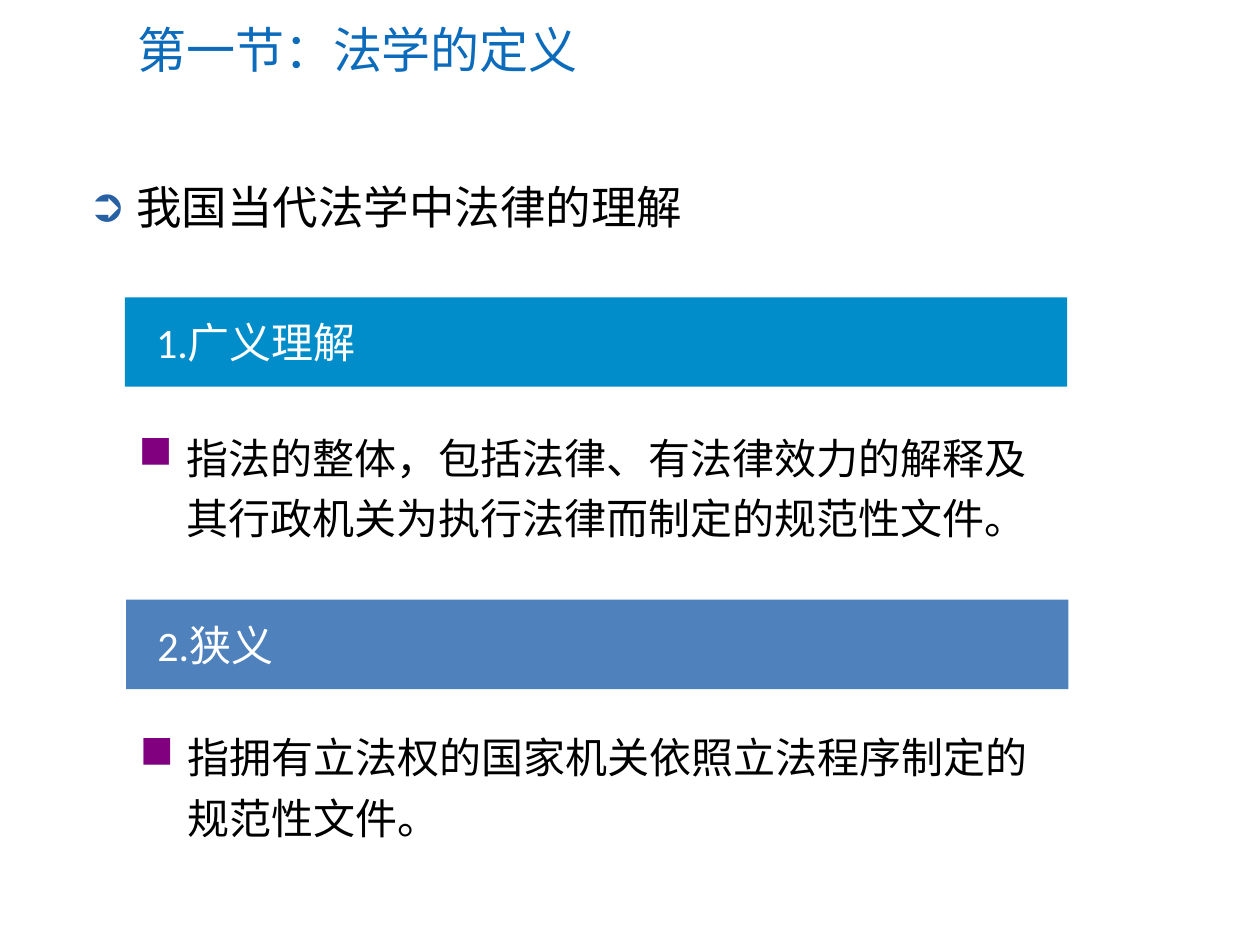
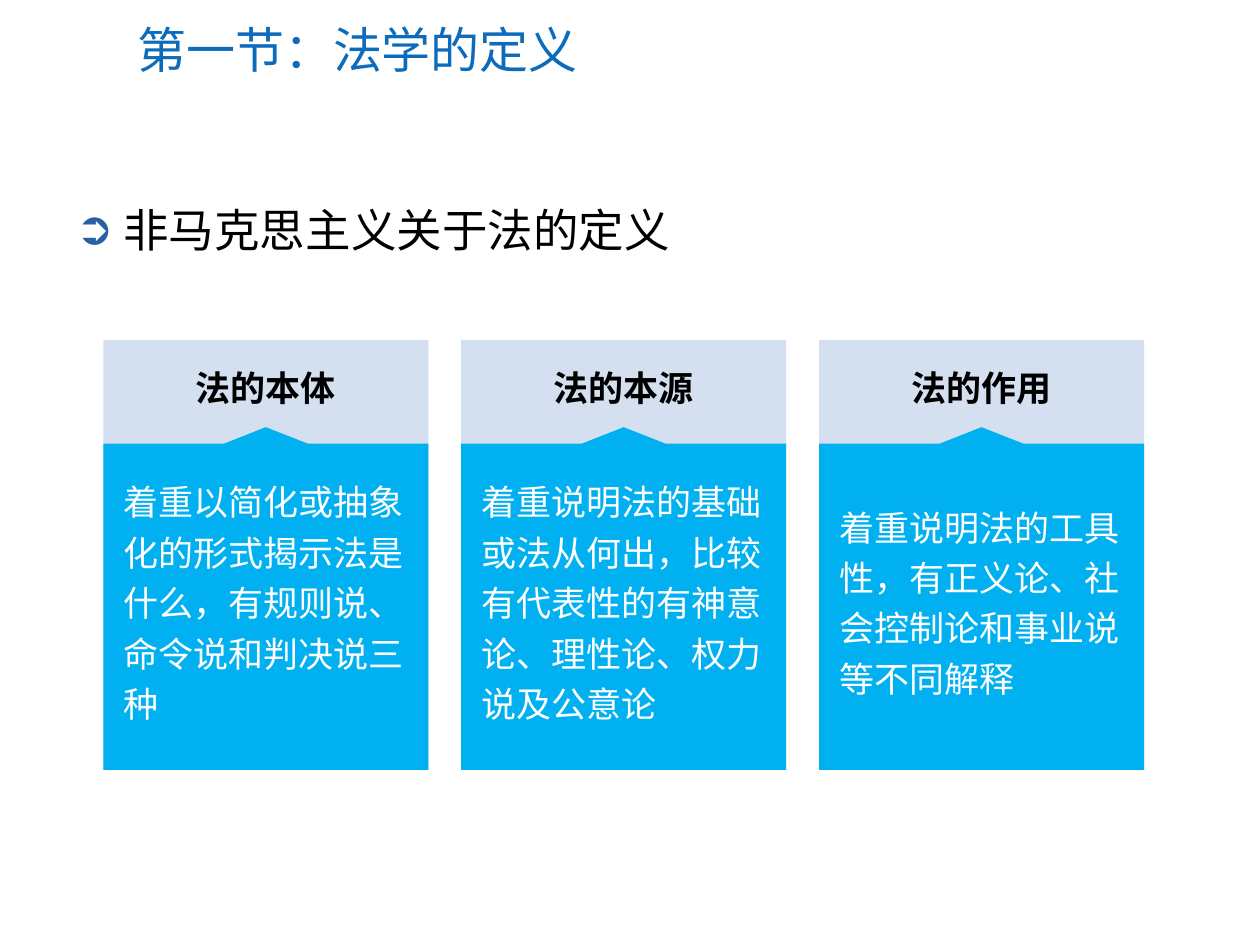
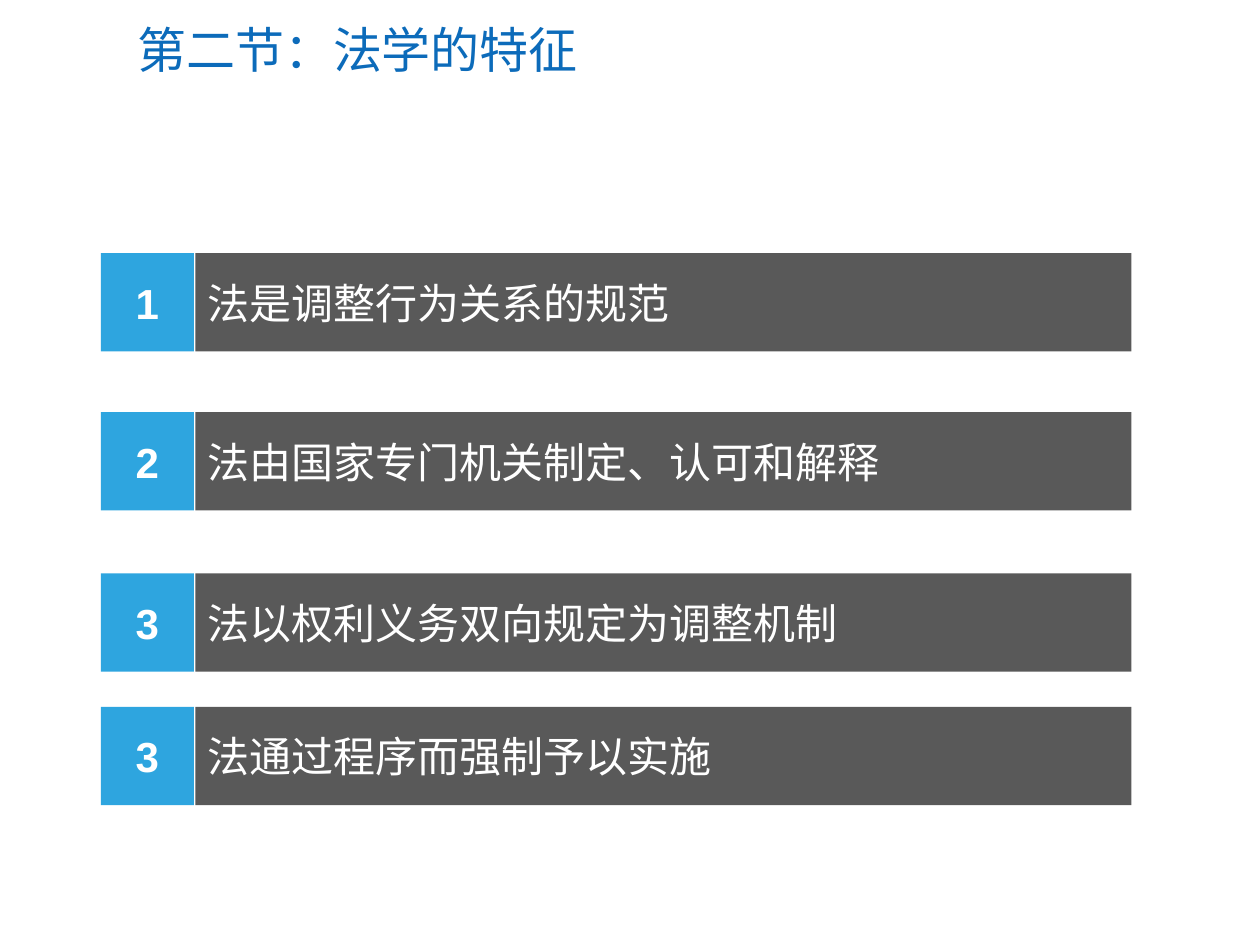
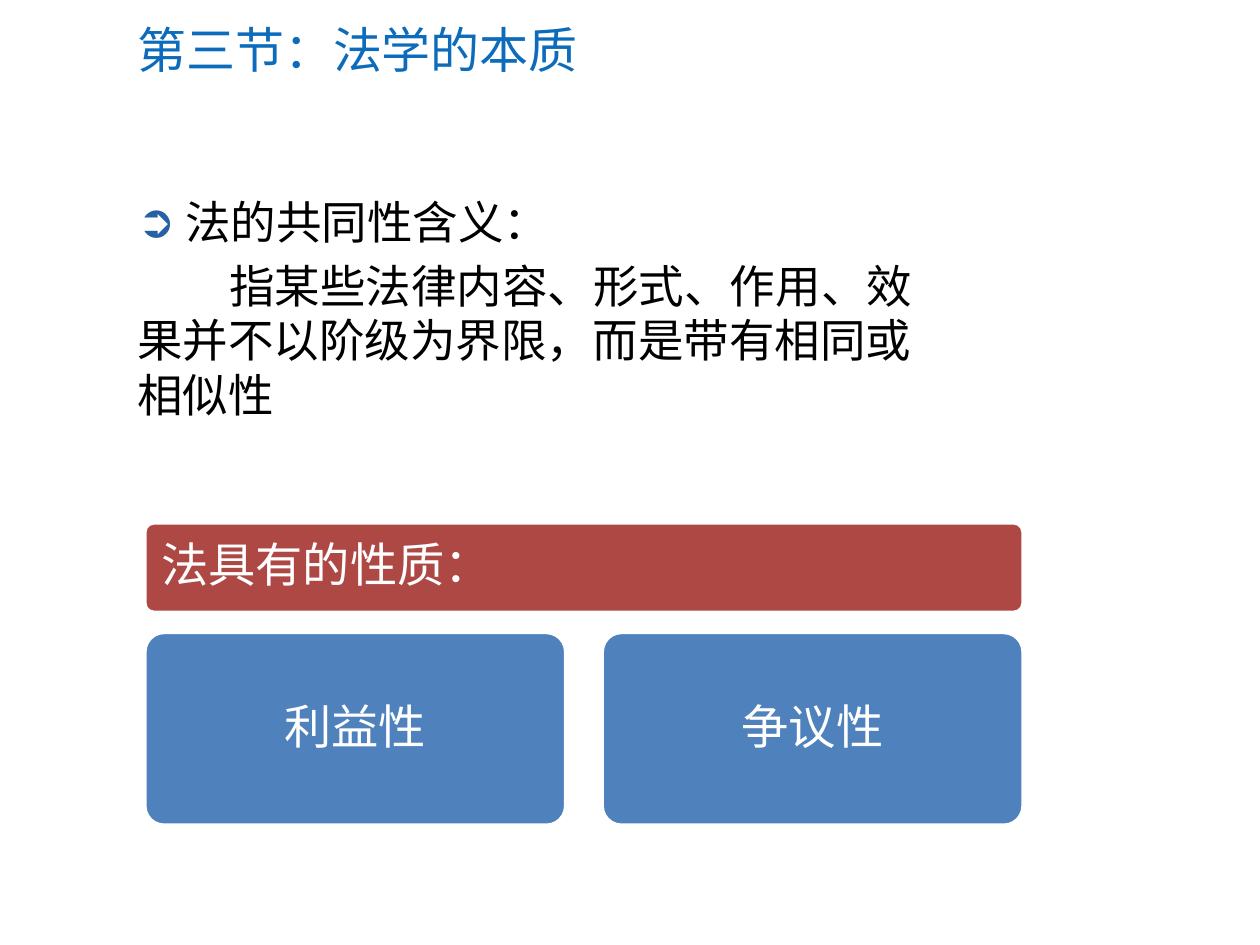
import pptx
import pptx.dml.color
import pptx.enum.lang
import pptx.enum.shapes
import pptx.enum.text
import pptx.oxml
import pptx.oxml.ns
import pptx.util

Inches = pptx.util.Inches
Pt = pptx.util.Pt
RGBColor = pptx.dml.color.RGBColor
Shapes = pptx.enum.shapes.MSO_SHAPE
Align = pptx.enum.text.PP_ALIGN
Anchor = pptx.enum.text.MSO_ANCHOR
AutoSize = pptx.enum.text.MSO_AUTO_SIZE
CHINESE = pptx.enum.lang.MSO_LANGUAGE_ID.SIMPLIFIED_CHINESE

# Shared colours and layout indexes
BLACK = RGBColor(0x00, 0x00, 0x00)
WHITE = RGBColor(0xFF, 0xFF, 0xFF)
TITLE_BLUE = RGBColor(0x0C, 0x6B, 0xBA)
ARROW_BLUE = RGBColor(0x28, 0x60, 0xA4)
PURPLE = RGBColor(0x80, 0x00, 0x80)
BAR_BLUE = RGBColor(0x00, 0x8D, 0xCA)
STEEL_BLUE = RGBColor(0x4F, 0x81, 0xBD)
PALE_BLUE = RGBColor(0x95, 0xB3, 0xD7)
SKY_BLUE = RGBColor(0x00, 0xB0, 0xF0)
NUMBER_BLUE = RGBColor(0x2E, 0xA5, 0xDF)
GREY = RGBColor(0x59, 0x59, 0x59)
RED = RGBColor(0xAE, 0x48, 0x45)
TITLE_AND_BODY, TITLE_ONLY = 1, 5


def write_text(shape, text, size=24, color=WHITE, font="Calibri", bold=False,
               align=Align.LEFT, anchor=Anchor.TOP, auto_size=AutoSize.NONE,
               line_spacing=1.0, space_before=0.2, margin=0, indent=0,
               bullet=None, bullet_color=None, bullet_size=100, insets=(0.1, 0.05)):
    """Write one paragraph, after any text that the shape already holds."""
    frame = shape.text_frame
    frame.word_wrap = True
    frame.auto_size = auto_size
    frame.vertical_anchor = anchor
    frame.margin_left = frame.margin_right = Inches(insets[0])
    frame.margin_top = frame.margin_bottom = Inches(insets[1])
    paragraph = frame.add_paragraph() if frame.text else frame.paragraphs[0]
    paragraph.alignment = align
    paragraph.line_spacing = line_spacing
    paragraph.space_before = Pt(space_before * size)
    run = paragraph.add_run()
    run.text = text
    run.font.size = Pt(size)
    run.font.name = font
    run.font.bold = bold
    run.font.color.rgb = color
    run.font.language_id = CHINESE

    # Indents and bullet
    properties = paragraph._p.get_or_add_pPr()
    properties.set("marL", str(Inches(margin)))
    properties.set("indent", str(Inches(indent)))
    parts = ["<a:buNone {}/>"]
    if bullet:
        parts = [f'<a:buClr {{}}><a:srgbClr val="{bullet_color}"/></a:buClr>',
                 f'<a:buSzPct {{}} val="{bullet_size * 1000}"/>',
                 f'<a:buChar {{}} char="{bullet}"/>']
    for part in parts:
        properties.append(pptx.oxml.parse_xml(part.format(pptx.oxml.ns.nsdecls("a"))))


def paint(shape, fill, line=None):
    """Give a shape a flat fill, and a 2 pt outline if a line colour is given."""
    shape.shadow.inherit = False
    shape.fill.solid()
    shape.fill.fore_color.rgb = fill
    if line is None:
        shape.line.fill.background()
    else:
        shape.line.color.rgb = line
        shape.line.width = Pt(2)


presentation = pptx.Presentation()
presentation.slide_width = Inches(10)
presentation.slide_height = Inches(7.5)

# Titles and lead bullets of all slides: title, lead, place of the body
outline = [
    ("第一节：法学的定义", "我国当代法学中法律的理解", (0.6, 1.37, 7.56, 0.66)),
    ("第一节：法学的定义", "非马克思主义关于法的定义", (0.5, 1.55, 9, 0.59)),
    ("第二节：法学的特征", None, None),
    ("第三节：法学的本质", "法的共同性含义：", (0.99, 1.49, 6.61, 2.12)),
]
for title, lead, place in outline:
    layout = presentation.slide_layouts[TITLE_AND_BODY if lead else TITLE_ONLY]
    slide = presentation.slides.add_slide(layout)
    heading = slide.shapes.title
    heading.left, heading.top = Inches(0.99), Inches(0.1)
    heading.width, heading.height = Inches(8.72), Inches(0.58)
    write_text(heading, title, size=28, color=TITLE_BLUE, anchor=Anchor.MIDDLE,
               space_before=0)
    if lead:
        body = slide.placeholders[1]
        body.left, body.top, body.width, body.height = map(Inches, place)
        write_text(body, lead, size=26, color=BLACK, margin=0.38, indent=-0.38,
                   bullet="➲", bullet_color=ARROW_BLUE)
meaning_slide, theory_slide, feature_slide, essence_slide = presentation.slides

# Slide 1: two headed explanations
meanings = [
    (0.99, 2.36, 3.3, BAR_BLUE, "1.广义理解",
     "指法的整体，包括法律、有法律效力的解释及其行政机关为执行法律而制定的规范性文件。"),
    (1, 4.76, 5.68, STEEL_BLUE, "2.狭义",
     "指拥有立法权的国家机关依照立法程序制定的规范性文件。"),
]
for left, bar_top, text_top, color, name, explanation in meanings:
    bar = meaning_slide.shapes.add_shape(
        Shapes.RECTANGLE, Inches(left), Inches(bar_top), Inches(7.48), Inches(0.71))
    paint(bar, color)
    write_text(bar, name, anchor=Anchor.MIDDLE, margin=0.15)
    box = meaning_slide.shapes.add_textbox(
        Inches(left + 0.01), Inches(text_top), Inches(7.47), Inches(1.07))
    write_text(box, explanation, color=BLACK, auto_size=AutoSize.SHAPE_TO_FIT_TEXT,
               line_spacing=1.2, margin=0.38, indent=-0.38,
               bullet="■", bullet_color=PURPLE, bullet_size=110)

# Slide 2: three cards, each with a notched panel
theories = [
    ("法的本体", "着重以简化或抽象化的形式揭示法是什么，有规则说、命令说和判决说三种"),
    ("法的本源", "着重说明法的基础或法从何出，比较有代表性的有神意论、理性论、权力说及公意论"),
    ("法的作用", "着重说明法的工具性，有正义论、社会控制论和事业说等不同解释"),
]
card_width, card_step, card_top, card_bottom = 2.58, 2.84, 2.7, 6.11
notch_top, panel_top, notch_half = 3.39, 3.52, 0.33
for index, (name, explanation) in enumerate(theories):
    left = 0.82 + index * card_step
    right, middle = left + card_width, left + card_width / 2
    card = theory_slide.shapes.add_group_shape()
    back = card.shapes.add_shape(
        Shapes.RECTANGLE, Inches(left), Inches(card_top),
        Inches(card_width), Inches(card_bottom - card_top))
    paint(back, PALE_BLUE)
    fill_color = back._element.spPr.find(".//" + pptx.oxml.ns.qn("a:srgbClr"))
    fill_color.append(pptx.oxml.parse_xml(
        f'<a:alpha {pptx.oxml.ns.nsdecls("a")} val="40000"/>'))

    corners = [(middle + notch_half, panel_top), (right, panel_top),
               (right, card_bottom), (left, card_bottom),
               (left, panel_top), (middle - notch_half, panel_top)]
    builder = card.shapes.build_freeform(Inches(middle), Inches(notch_top))
    builder.add_line_segments([(Inches(x), Inches(y)) for x, y in corners], close=True)
    panel = builder.convert_to_shape()
    paint(panel, SKY_BLUE)
    write_text(panel, explanation, size=20, anchor=Anchor.MIDDLE, line_spacing=1.2,
               insets=(0.16, 0.05))

    label = card.shapes.add_textbox(
        Inches(left), Inches(2.86), Inches(card_width), Inches(0.44))
    write_text(label, name, size=20, color=BLACK, font="Noto Sans CJK SC", bold=True,
               align=Align.CENTER, auto_size=AutoSize.SHAPE_TO_FIT_TEXT)

# Slide 3: numbered rows
features = [
    (2.01, "1", "法是调整行为关系的规范"),
    (3.27, "2", "法由国家专门机关制定、认可和解释"),
    (4.55, "3", "法以权利义务双向规定为调整机制"),
    (5.61, "3", "法通过程序而强制予以实施"),
]
for top, number, feature in features:
    row = feature_slide.shapes.add_group_shape()
    tile = row.shapes.add_shape(
        Shapes.RECTANGLE, Inches(0.8), Inches(top), Inches(0.74), Inches(0.78))
    paint(tile, NUMBER_BLUE)
    write_text(tile, number, font="Arial", bold=True, align=Align.CENTER,
               anchor=Anchor.MIDDLE)
    strip = row.shapes.add_shape(
        Shapes.RECTANGLE, Inches(1.55), Inches(top), Inches(7.43), Inches(0.78))
    paint(strip, GREY)
    write_text(strip, feature, anchor=Anchor.MIDDLE)

# Slide 4: definition under the lead bullet, then a heading over two boxes
write_text(essence_slide.placeholders[1],
           "指某些法律内容、形式、作用、效果并不以阶级为界限，而是带有相同或相似性",
           size=26, color=BLACK, indent=0.73)
qualities = [
    (1.15, 4.15, 6.97, 0.71, RED, Align.LEFT, "法具有的性质："),
    (1.15, 5.02, 3.34, 1.53, STEEL_BLUE, Align.CENTER, "利益性"),
    (4.78, 5.02, 3.34, 1.53, STEEL_BLUE, Align.CENTER, "争议性"),
]
diagram = essence_slide.shapes.add_group_shape()
for left, top, width, height, color, align, quality in qualities:
    block = diagram.shapes.add_shape(
        Shapes.ROUNDED_RECTANGLE, Inches(left), Inches(top), Inches(width), Inches(height))
    block.adjustments[0] = 0.1
    paint(block, color, line=WHITE)
    write_text(block, quality, size=27, align=align, anchor=Anchor.MIDDLE,
               line_spacing=0.9, space_before=0, insets=(0.11, 0.11))

presentation.save("out.pptx")
